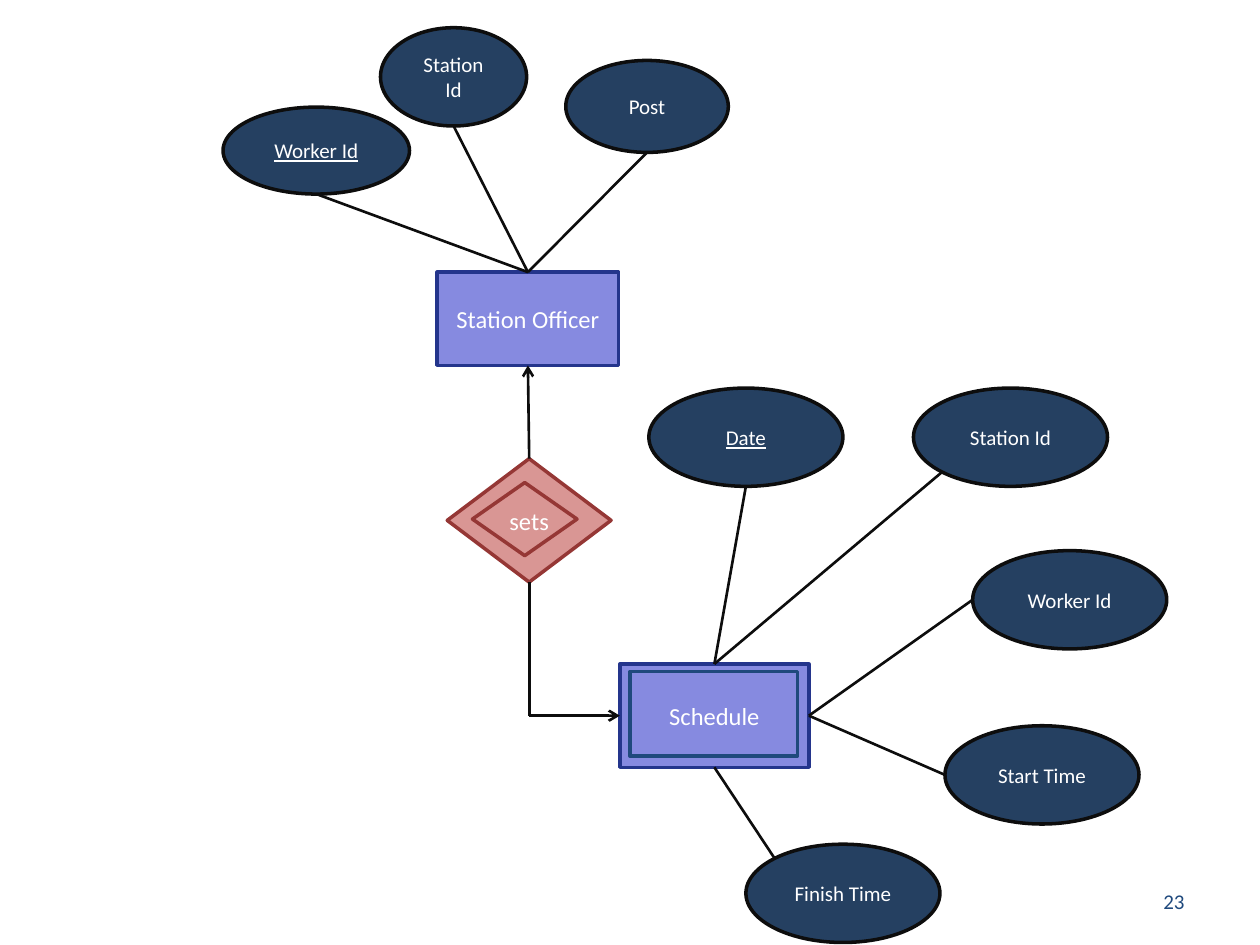
from dataclasses import dataclass

from lxml import etree
from pptx import Presentation
from pptx.dml.color import RGBColor
from pptx.enum.shapes import MSO_CONNECTOR, MSO_SHAPE
from pptx.enum.text import MSO_ANCHOR, PP_ALIGN
from pptx.oxml.ns import qn
from pptx.util import Inches, Pt

RECT, OVAL = MSO_SHAPE.RECTANGLE, MSO_SHAPE.OVAL
DIAMOND = MSO_SHAPE.FLOWCHART_DECISION
STRAIGHT = MSO_CONNECTOR.STRAIGHT
MIDDLE = MSO_ANCHOR.MIDDLE
CENTER, RIGHT = PP_ALIGN.CENTER, PP_ALIGN.RIGHT
TOP, LEFT, BOTTOM, EAST = range(4)  # connection sites


@dataclass(frozen=True)
class Theme:
    font: str = "Calibri"
    big: int = 14
    small: int = 12
    edge: int = 2
    wire: float = 1.5
    white: str = "FFFFFF"
    ink: str = "0D0D0D"
    navy: str = "254061"
    blue: str = "1F497D"
    violet: str = "868AE0"
    indigo: str = "24358C"
    pink: str = "D99694"
    red: str = "953735"


theme = Theme()
deck = Presentation()
deck.slide_width, deck.slide_height = Inches(10), Inches(7.5)
slide = deck.slides.add_slide(deck.slide_layouts[6])
shapes = slide.shapes


def write(text, kind=None, box=(), fill=None, line=None, size=theme.small,
          color=theme.white, align=CENTER, under=None):
    """Add a shape, or a text box when no kind is given, with its text."""
    spot = [Inches(n) for n in box]
    if kind is None:
        shape = shapes.add_textbox(*spot)
    else:
        shape = shapes.add_shape(kind, *spot)
        shape.shadow.inherit = False
        shape.line.color.rgb = RGBColor.from_string(line)
        shape.line.width = Pt(theme.edge)
        if fill:
            shape.fill.solid()
            shape.fill.fore_color.rgb = RGBColor.from_string(fill)
        else:
            shape.fill.background()
    if text:
        frame = shape.text_frame
        frame.word_wrap = True
        frame.vertical_anchor = MIDDLE
        para = frame.paragraphs[0]
        para.alignment = align
        run = para.add_run()
        run.text = text
        font = run.font
        font.name, font.size, font.underline = theme.font, Pt(size), under
        font.color.rgb = RGBColor.from_string(color)
    return shape


def link(start, end, arrow=False):
    """Draw a line; each end is an (x, y) point or a (shape, site) pair."""
    joins = [hasattr(stop[0], "shape_id") for stop in (start, end)]
    spots = [(0, 0) if join else stop for join, stop in zip(joins, (start, end))]
    wire = shapes.add_connector(STRAIGHT, *spots[0], *spots[1])
    if joins[0]:
        wire.begin_connect(*start)
    if joins[1]:
        wire.end_connect(*end)
    wire.line.color.rgb = RGBColor.from_string(theme.ink)
    wire.line.width = Pt(theme.wire)
    if arrow:
        etree.SubElement(wire.line._get_or_add_ln(), qn("a:tailEnd"), type="arrow")
    etree.SubElement(wire._element.spPr, qn("a:effectLst"))


# Entities and the relationship between them
entity = dict(kind=RECT, fill=theme.violet, line=theme.indigo, size=theme.big)
plan = write("Schedule", box=(4.92, 5.27, 1.5, 0.82), **entity)
chief = write("Station Officer", box=(3.47, 2.16, 1.44, 0.74), **entity)
sets = write("sets", DIAMOND, (3.55, 3.64, 1.3, 0.98), theme.pink, theme.red,
             theme.big)

# Inner outlines of the weak entity and its relationship
write("", RECT, (5, 5.33, 1.33, 0.67), line=theme.blue)
write("", DIAMOND, (3.75, 3.83, 0.83, 0.58), line=theme.red)

# Arrows from the relationship, the lower one turning a corner
link((sets, TOP), (chief, BOTTOM), arrow=True)
corner = (sets.left + sets.width // 2, plan.top + plan.height // 2)
link((sets, BOTTOM), corner)
link(corner, (plan, LEFT), arrow=True)

# Attributes: text, box, key, entity, its site, point on the oval (0 to 1)
wide, tall = 1.54, 0.78
low, west = (0.5, 1), (0, 0.5)
traits = [
    ("Station Id", (3.02, 0.22, 1.16, tall), None, chief, TOP, low),
    ("Worker Id", (1.77, 0.85, 1.48, 0.69), True, chief, TOP, low),
    ("Post", (4.49, 0.48, 1.29, 0.73), None, chief, TOP, low),
    ("Date", (5.15, 3.08, wide, tall), True, plan, TOP, low),
    ("Station Id", (7.25, 3.08, wide, tall), None, plan, TOP, (0.15, 0.85)),
    ("Worker Id", (7.72, 4.37, wide, tall), None, plan, EAST, west),
    ("Start Time", (7.5, 5.76, wide, tall), None, plan, EAST, west),
    ("Finish Time", (5.92, 6.7, wide, tall), None, plan, BOTTOM, (0.15, 0.15)),
]
for text, box, key, owner, site, (across, down) in traits:
    oval = write(text, OVAL, box, theme.navy, theme.ink, under=key)
    point = (int(oval.left + across * oval.width),
             int(oval.top + down * oval.height))
    link((owner, site), point)

# Page number
write("23", box=(7.17, 6.95, 2.33, 0.4), color=theme.blue, align=RIGHT)

deck.save("out.pptx")
